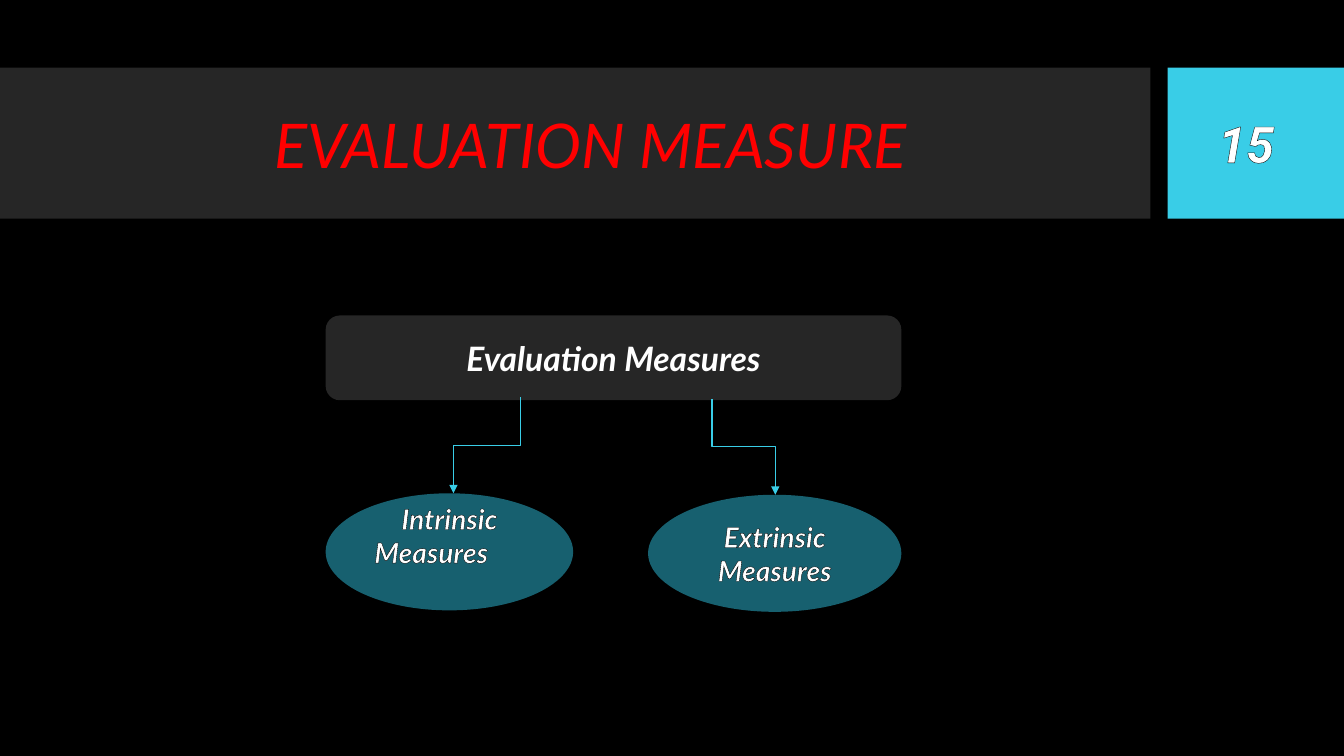
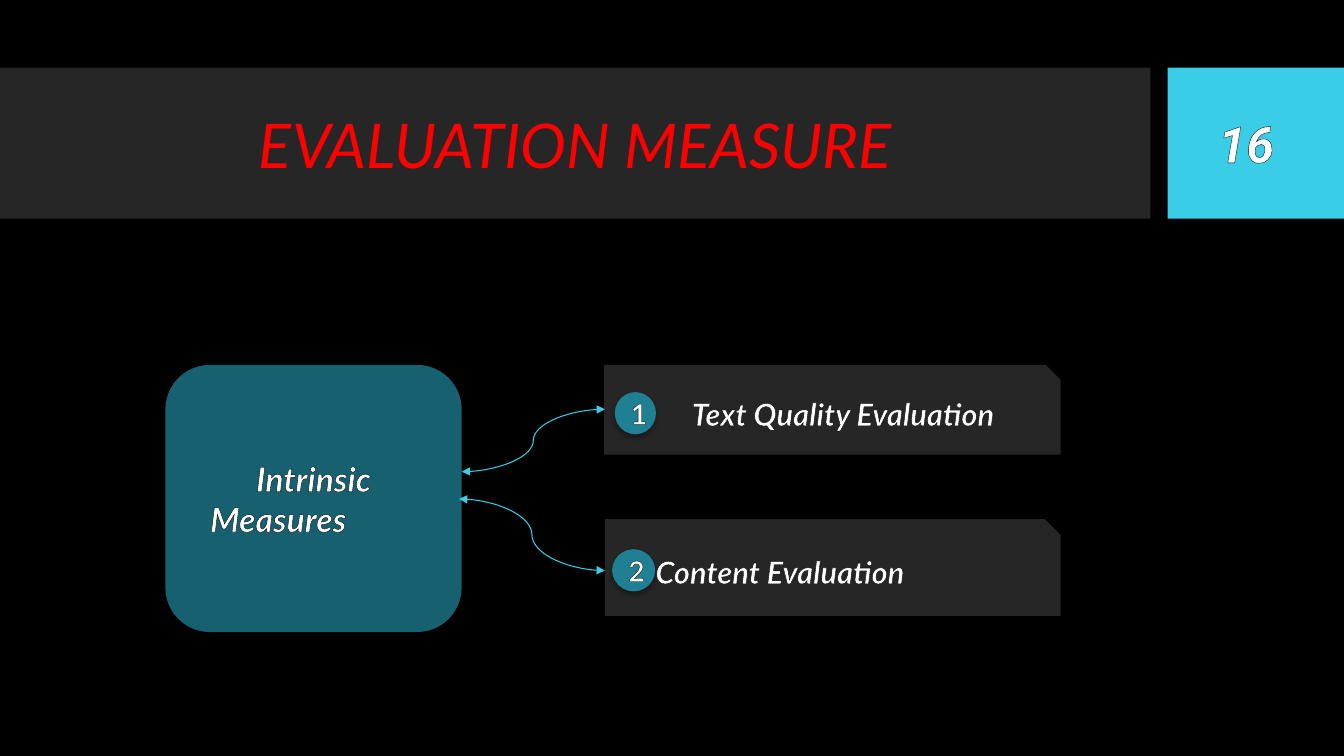
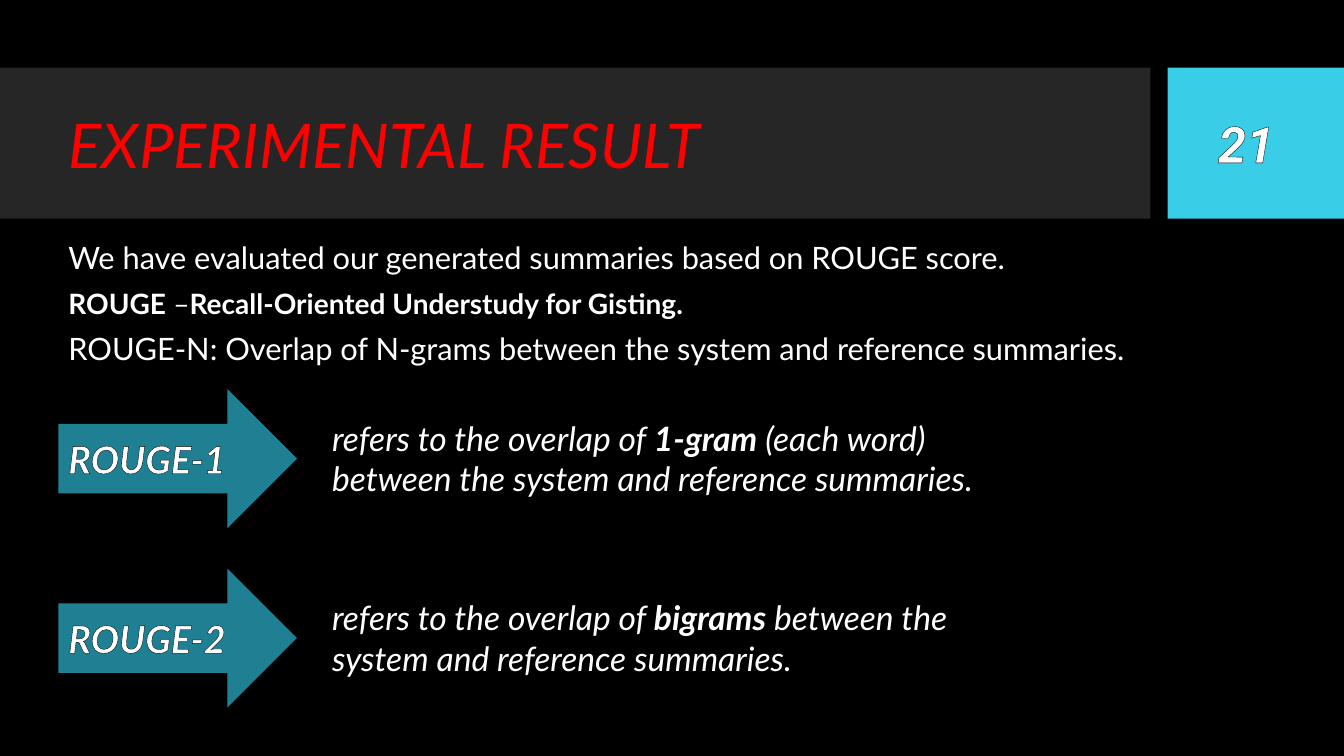
from lxml import etree
from pptx import Presentation, util as u
from pptx.dml.color import RGBColor
from pptx.enum import shapes, text
from pptx.oxml import parse_xml
from pptx.oxml.ns import qn

BLACK, WHITE, RED = "000000", "FFFFFF", "FF0000"
PANEL, ACCENT, DEEP, TEAL = "262626", "39CDE7", "17606F", "1F8094"
NS = 'xmlns:a="http://schemas.openxmlformats.org/drawingml/2006/main"'
SHADOW = (f'<a:effectLst {NS}><a:outerShdw blurRad="44450" dist="27940" dir="5400000" '
          'algn="ctr" rotWithShape="0"><a:srgbClr val="000000"><a:alpha val="32000"/>'
          '</a:srgbClr></a:outerShdw></a:effectLst>')
OUTLINE = (f'<a:ln {NS} w="9525"><a:solidFill><a:srgbClr val="000000"/>'
           '</a:solidFill></a:ln>')
KIND, LINK = shapes.MSO_SHAPE, shapes.MSO_CONNECTOR
LEFT, CENTER = text.PP_ALIGN.LEFT, text.PP_ALIGN.CENTER
TOP, MIDDLE = text.MSO_ANCHOR.TOP, text.MSO_ANCHOR.MIDDLE

deck = Presentation()
deck.slide_width, deck.slide_height = u.Inches(13.33), u.Inches(7.5)


def paint(target, color):
    """Give a fill a solid hex colour."""
    target.solid()
    target.fore_color.rgb = RGBColor.from_string(color)


def spot(box, x, y):
    """Return the point at percentages x, y of a box in inches."""
    left, top, width, height = box
    return left + width * x / 100, top + height * y / 100


def part(box, x, y, width, height):
    """Return the sub-box given in percentages of a box."""
    return (*spot(box, x, y), box[2] * width / 100, box[3] * height / 100)


def write(holder, lines, size, font="Lato", color=WHITE, bold=True, italic=True,
          outline=True, align=CENTER, anchor=MIDDLE, insets=(0.1, 0.05, 0.1, 0.05),
          first_indent=0, spacing=1, before=0):
    """Write lines of (words, changes) runs into a shape or text box."""
    frame = holder.text_frame
    frame.word_wrap, frame.vertical_anchor = True, anchor
    (frame.margin_left, frame.margin_top,
     frame.margin_right, frame.margin_bottom) = map(u.Inches, insets)
    for number, runs in enumerate(lines):
        line = frame.add_paragraph() if number else frame.paragraphs[0]
        line.alignment, line.line_spacing, line.space_before = align, spacing, u.Pt(before)
        if first_indent:
            props = line._p.get_or_add_pPr()
            props.set("marL", "0")
            props.set("indent", str(u.Inches(first_indent)))
        for words, changes in runs:
            run = line.add_run()
            run.text = words
            run.font.name = font
            run.font.size = u.Pt(changes.get("size", size))
            run.font.bold, run.font.italic = changes.get("bold", bold), italic
            paint(run.font.fill, color)
            if outline:
                run.font._element.insert(0, parse_xml(OUTLINE))


def block(slide, kind, box, color, shadow=True):
    """Add a filled shape without a line."""
    shape = slide.shapes.add_shape(kind, *map(u.Inches, box))
    paint(shape.fill, color)
    shape.line.fill.background()
    if shadow:
        shape._element.spPr.append(parse_xml(SHADOW))
    else:
        shape.shadow.inherit = False
    return shape


def label(slide, box, lines, size, **style):
    """Add a text box."""
    write(slide.shapes.add_textbox(*map(u.Inches, box)), lines, size, **style)


def link(slide, kind, start, end, ends=("tailEnd",)):
    """Add an accent connector with triangles at the named ends."""
    connector = slide.shapes.add_connector(kind, *map(u.Inches, (*start, *end)))
    connector.line.width = u.Pt(0.75)
    paint(connector.line.fill, ACCENT)
    for end_name in ends:
        etree.SubElement(connector.line._ln, qn(f"a:{end_name}"), type="triangle")
    etree.SubElement(connector._element.spPr, qn("a:effectLst"))
    return connector


def drop(slide, start, end):
    """Add an elbow arrow that leaves downwards, as a turned connector."""
    (x1, y1), (x2, y2) = start, end
    middle_x, middle_y = (x1 + x2) / 2, (y1 + y2) / 2
    half_fall, half_run = (y2 - y1) / 2, abs(x2 - x1) / 2
    side = 1 if x2 > x1 else -1
    arrow = link(slide, LINK.ELBOW,
                 (middle_x + side * half_fall, middle_y - half_run),
                 (middle_x - side * half_fall, middle_y + half_run))
    turn = 270 if side > 0 else 90
    arrow._element.spPr.find(qn("a:xfrm")).set("rot", str(turn * 60000))


def new_slide(title, number, title_left):
    """Start a slide with its background, bands, title and number."""
    slide = deck.slides.add_slide(deck.slide_layouts[6])
    paint(slide.background.fill, BLACK)
    block(slide, KIND.RECTANGLE, (0, 0.67, 11.41, 1.5), PANEL, shadow=False)
    block(slide, KIND.RECTANGLE, (11.58, 0.67, 1.75, 1.5), ACCENT, shadow=False)
    label(slide, (title_left, 0.21, 11.26 - title_left, 2.52), [[(title, {})]], 44,
          color=RED, bold=False, align=LEFT, spacing=0.9)
    label(slide, (11.73, 0.82, 1.26, 1.19), [[(number, {})]], 36, font="Roboto")
    return slide


def measure_tree(slide, box):
    """Draw the root measure with its two branches."""
    root = block(slide, KIND.ROUNDED_RECTANGLE, part(box, 0, 0, 100, 28.6), PANEL)
    write(root, [[("Evaluation Measures", {})]], 24, outline=False)
    intrinsic = block(slide, KIND.OVAL, part(box, 0, 60, 43, 39.5), DEEP)
    write(intrinsic, [[("Intrinsic Measures", {})]], 20,
          insets=(0, 0.05, 0.36, 0.38), first_indent=0.36)
    extrinsic = block(slide, KIND.OVAL, part(box, 56, 60.5, 44, 39.5), DEEP)
    write(extrinsic, [[("Extrinsic Measures", {})]], 20)
    drop(slide, spot(box, 67.1, 28.2), spot(box, 78.1, 60.5))
    drop(slide, spot(box, 33.8, 27.6), spot(box, 22.2, 60))


def intrinsic_map(slide, box):
    """Draw the intrinsic topic linked to its numbered kinds."""
    topic = block(slide, KIND.ROUNDED_RECTANGLE, part(box, 0, 0, 33.1, 100), DEEP)
    write(topic, [[("Intrinsic Measures", {})]], 24,
          insets=(0, 0.05, 0.7, 0.05), first_indent=0.7)
    kinds = [
        ("Text Quality Evaluation", (49, 0, 51, 33.6), CENTER, 0.38,
         (50.2, 10.2, 4.6, 15.8), (33.1, 40), (49.1, 16.6)),
        ("Content Evaluation", (49.1, 57.7, 50.9, 36.2), LEFT, 0.5,
         (49.9, 69, 4.8, 15.8), (32.8, 50.2), (49.1, 77)),
    ]
    for number, (name, area, align, inset, badge_area, start, end) in enumerate(kinds, 1):
        card = block(slide, KIND.SNIP_1_RECTANGLE, part(box, *area), PANEL)
        write(card, [[(name, {})]], 22, align=align, insets=(inset, 0.05, 0.1, 0.05))
        link(slide, LINK.CURVE, spot(box, *start), spot(box, *end), ("headEnd", "tailEnd"))
        badge = block(slide, KIND.FLOWCHART_CONNECTOR, part(box, *badge_area), TEAL)
        write(badge, [[(str(number), {})]], 20, italic=False)


def score_row(slide, box, score, meaning):
    """Draw a score arrow and its meaning beside it."""
    arrow = block(slide, KIND.RIGHT_ARROW, part(box, 0, 0, 21.7, 100), TEAL)
    write(arrow, [[(score, {})]], 27, align=LEFT)
    label(slide, part(box, 24, 17, 66, 66), meaning, 24, bold=False,
          outline=False, align=LEFT, anchor=TOP)


measure_tree(new_slide("EVALUATION MEASURE", "15", 2.62), (3.23, 3.13, 5.71, 2.94))
intrinsic_map(new_slide("EVALUATION MEASURE", "16", 2.47), (1.64, 3.62, 8.88, 2.65))

STRONG = {"bold": True}
results = new_slide("EXPERIMENTAL RESULT", "21", 0.58)
label(results, (0.58, 2.36, 10.91, 1.39), [
    [("We have evaluated our generated summaries based on ROUGE score.", {})],
    [("ROUGE", {"size": 20, "bold": True}), (" –", {"size": 20}),
     ("Recall-Oriented Understudy for Gisting.", {"size": 20, "bold": True})],
    [("ROUGE-N: Overlap of N-grams between the system and reference summaries.", {})],
], 22, bold=False, italic=False, outline=False, align=LEFT, anchor=TOP,
    spacing=0.9, before=10)
scores = [
    ("ROUGE-1", [[("refers to the overlap of ", {}), ("1-gram", STRONG),
                  (" (each word)", {})],
                 [("between the system and reference summaries.", {})]]),
    ("ROUGE-2", [[("refers to the overlap of ", {}), ("bigrams", STRONG),
                  (" between the system and reference summaries.", {})]]),
]
for row, (score, meaning) in enumerate(scores):
    score_row(results, (0.58, 3.86 + 1.78 * row, 10.9, 1.38), score, meaning)

deck.save("out.pptx")
